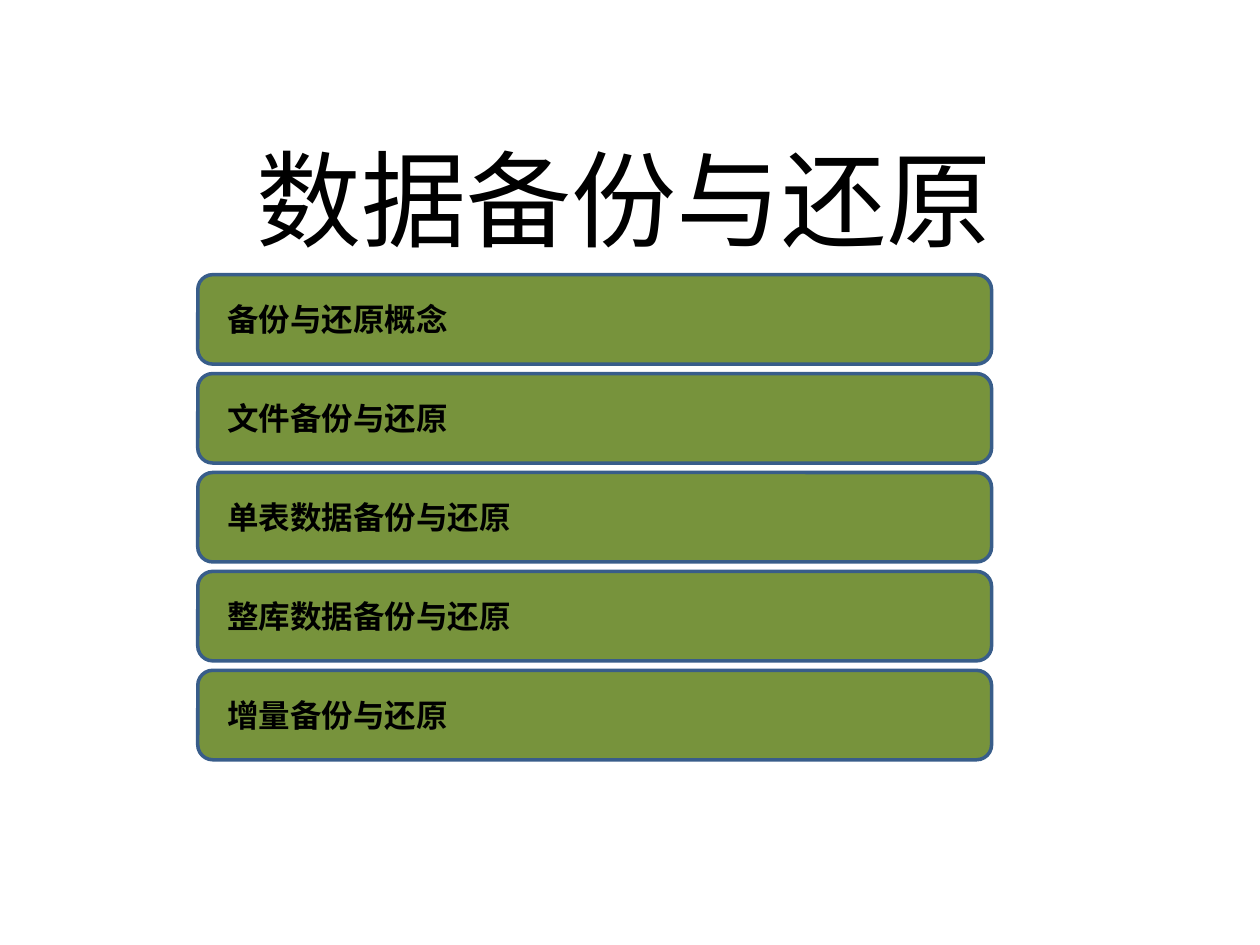
import pptx
import pptx.util
import pptx.dml.color
import pptx.enum.shapes
import pptx.enum.text

Inches, Pt = pptx.util.Inches, pptx.util.Pt
ALIGN = pptx.enum.text.PP_ALIGN
ANCHOR = pptx.enum.text.MSO_ANCHOR

FONT = "Calibri"
BLACK, GREEN, BLUE = "000000", "77933C", "385D8A"
BAR_LEFT, BAR_TOP, BAR_WIDTH, BAR_HEIGHT = 1.57, 2.18, 6.3, 0.71
BAR_PITCH = 0.785
TOPICS = [
    "备份与还原概念",
    "文件备份与还原",
    "单表数据备份与还原",
    "整库数据备份与还原",
    "增量备份与还原",
]


def rgb(value):
    return pptx.dml.color.RGBColor.from_string(value)


def write(sp, text, size, align, anchor, left_inset=0.1, bold=False):
    tf = sp.text_frame
    tf.word_wrap = True
    tf.auto_size = pptx.enum.text.MSO_AUTO_SIZE.NONE
    tf.vertical_anchor = anchor
    tf.margin_left, tf.margin_right = Inches(left_inset), Inches(0.1)
    tf.margin_top = tf.margin_bottom = Inches(0.05)
    p = tf.paragraphs[0]
    p.alignment = align
    r = p.add_run()
    r.text = text
    r.font.name, r.font.size, r.font.bold = FONT, Pt(size), bold
    r.font.color.rgb = rgb(BLACK)


def set_title(s, text):
    sp = s.shapes.title
    sp.left, sp.top = Inches(0.96), Inches(1.02)
    sp.width, sp.height = Inches(7.98), Inches(1.1)
    write(sp, text, 60, ALIGN.CENTER, ANCHOR.TOP)


def add_topic_bar(s, row, text):
    sp = s.shapes.add_shape(
        pptx.enum.shapes.MSO_SHAPE.ROUNDED_RECTANGLE,
        Inches(BAR_LEFT), Inches(BAR_TOP + row * BAR_PITCH),
        Inches(BAR_WIDTH), Inches(BAR_HEIGHT))
    sp.shadow.inherit = False
    sp.fill.solid()
    sp.fill.fore_color.rgb = rgb(GREEN)
    sp.line.color.rgb = rgb(BLUE)
    sp.line.width = Pt(2)
    write(sp, text, 18, ALIGN.LEFT, ANCHOR.MIDDLE, left_inset=0.2, bold=True)


def main():
    prs = pptx.Presentation()
    prs.slide_width, prs.slide_height = Inches(10), Inches(7.5)
    s = prs.slides.add_slide(prs.slide_layouts.get_by_name("Title Only"))
    set_title(s, "数据备份与还原")
    for row, topic in enumerate(TOPICS):
        add_topic_bar(s, row, topic)
    prs.save("out.pptx")


if __name__ == "__main__":
    main()
